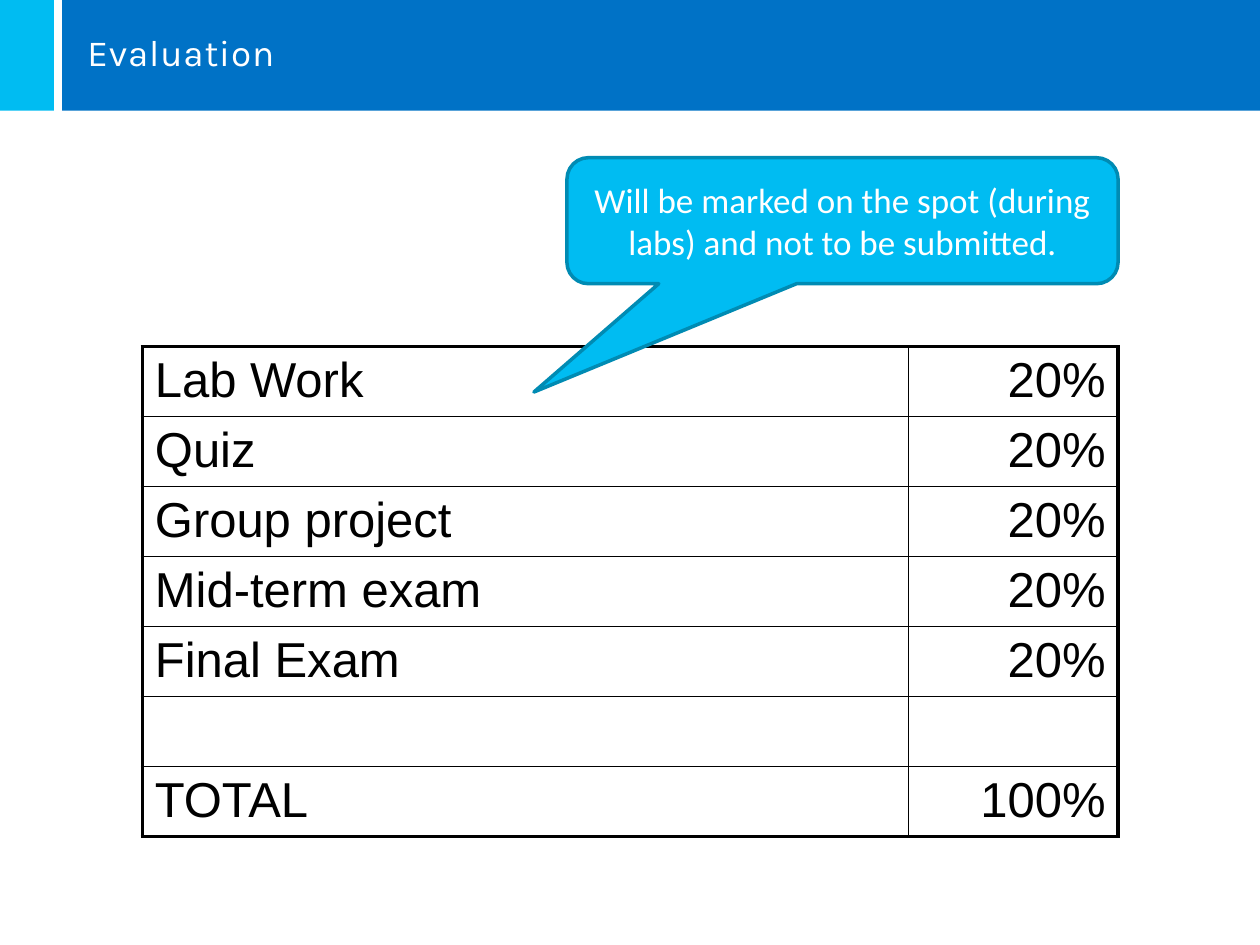
from dataclasses import dataclass

from lxml.etree import SubElement
from pptx import Presentation
from pptx.dml.color import RGBColor
from pptx.enum.shapes import MSO_SHAPE
from pptx.enum.text import MSO_ANCHOR, PP_ALIGN
from pptx.oxml.ns import qn
from pptx.util import Cm, Pt


@dataclass(frozen=True)
class Theme:
    blue: RGBColor = RGBColor(0x00, 0x72, 0xC6)
    cyan: RGBColor = RGBColor(0x00, 0xBC, 0xF2)
    outline: RGBColor = RGBColor(0x00, 0x8B, 0xB3)
    white: RGBColor = RGBColor(0xFF, 0xFF, 0xFF)
    black: RGBColor = RGBColor(0x00, 0x00, 0x00)
    title_size: Pt = Pt(21)
    table_size: Pt = Pt(28)
    callout_size: Pt = Pt(20)
    frame_width: Pt = Pt(2.25)
    grid_width: Pt = Pt(1)
    callout_line: Pt = Pt(2)


theme = Theme()


def style_font(font, name, size, color):
    font.name, font.size, font.color.rgb = name, size, color
    font.bold = False


def add_border(cell, side, width):
    line = SubElement(cell._tc.get_or_add_tcPr(), qn(f"a:{side}"), w=str(int(width)))
    fill = SubElement(line, qn("a:solidFill"))
    SubElement(fill, qn("a:srgbClr"), val=str(theme.black))


deck = Presentation()
deck.slide_width, deck.slide_height = Cm(25.4), Cm(19.05)
page = deck.slides.add_slide(deck.slide_layouts[5])

# Header: cyan tab and blue title bar
header_height = Cm(2.23)
bar_left = Cm(1.25)
tab = page.shapes.add_shape(MSO_SHAPE.RECTANGLE, 0, 0, Cm(1.09), header_height)
tab.shadow.inherit = False
tab.fill.solid()
tab.fill.fore_color.rgb = theme.cyan
tab.line.fill.background()

title = page.shapes.title
title.left, title.top = bar_left, 0
title.width, title.height = deck.slide_width - bar_left, header_height
title.fill.solid()
title.fill.fore_color.rgb = theme.blue
frame = title.text_frame
frame.text = "Evaluation"
frame.vertical_anchor = MSO_ANCHOR.MIDDLE
frame.margin_left = frame.margin_right = Cm(0.51)
frame.margin_top, frame.margin_bottom = 0, Cm(0.13)
para = frame.paragraphs[0]
para.alignment = PP_ALIGN.LEFT
style_font(para.font, "Karla", theme.title_size, theme.white)
para.runs[0].font._element.set("spc", "50")  # slight letter spacing

# Marks table
marks = [
    ("Lab Work", "20%"),
    ("Quiz", "20%"),
    ("Group project", "20%"),
    ("Mid-term exam", "20%"),
    ("Final Exam", "20%"),
    ("", ""),
    ("TOTAL", "100%"),
]
column_widths = [Cm(15.44), Cm(4.23)]
row_height = Cm(1.41)
table = page.shapes.add_table(
    len(marks), len(column_widths), Cm(2.87), Cm(6.99),
    sum(column_widths), row_height * len(marks),
).table
table.first_row = table.horz_banding = False
for column, width in zip(table.columns, column_widths):
    column.width = width

last_row, last_column = len(marks) - 1, len(column_widths) - 1
for row_index, texts in enumerate(marks):
    table.rows[row_index].height = row_height
    for column_index, text in enumerate(texts):
        cell = table.cell(row_index, column_index)
        outer_edges = {
            "lnL": column_index == 0,
            "lnR": column_index == last_column,
            "lnT": row_index == 0,
            "lnB": row_index == last_row,
        }
        for side, is_outer in outer_edges.items():
            add_border(cell, side, theme.frame_width if is_outer else theme.grid_width)
        cell.fill.background()
        cell.text = text
        para = cell.text_frame.paragraphs[0]
        para.alignment = PP_ALIGN.RIGHT if column_index == last_column else PP_ALIGN.LEFT
        style_font(para.font, "Arial", theme.table_size, theme.black)

# Callout pointing at the lab work row
callout = page.shapes.add_shape(
    MSO_SHAPE.ROUNDED_RECTANGULAR_CALLOUT, Cm(11.43), Cm(3.18), Cm(11.11), Cm(2.54)
)
for index, value in enumerate((-0.56, 1.36, 0.17)):
    callout.adjustments[index] = value
callout.shadow.inherit = False
callout.fill.solid()
callout.fill.fore_color.rgb = theme.cyan
callout.line.color.rgb = theme.outline
callout.line.width = theme.callout_line
frame = callout.text_frame
frame.word_wrap = True
frame.vertical_anchor = MSO_ANCHOR.MIDDLE
frame.text = "Will be marked on the spot (during labs) and not to be submitted."
para = frame.paragraphs[0]
para.alignment = PP_ALIGN.CENTER
style_font(para.font, "Calibri", theme.callout_size, theme.white)

deck.save("out.pptx")
